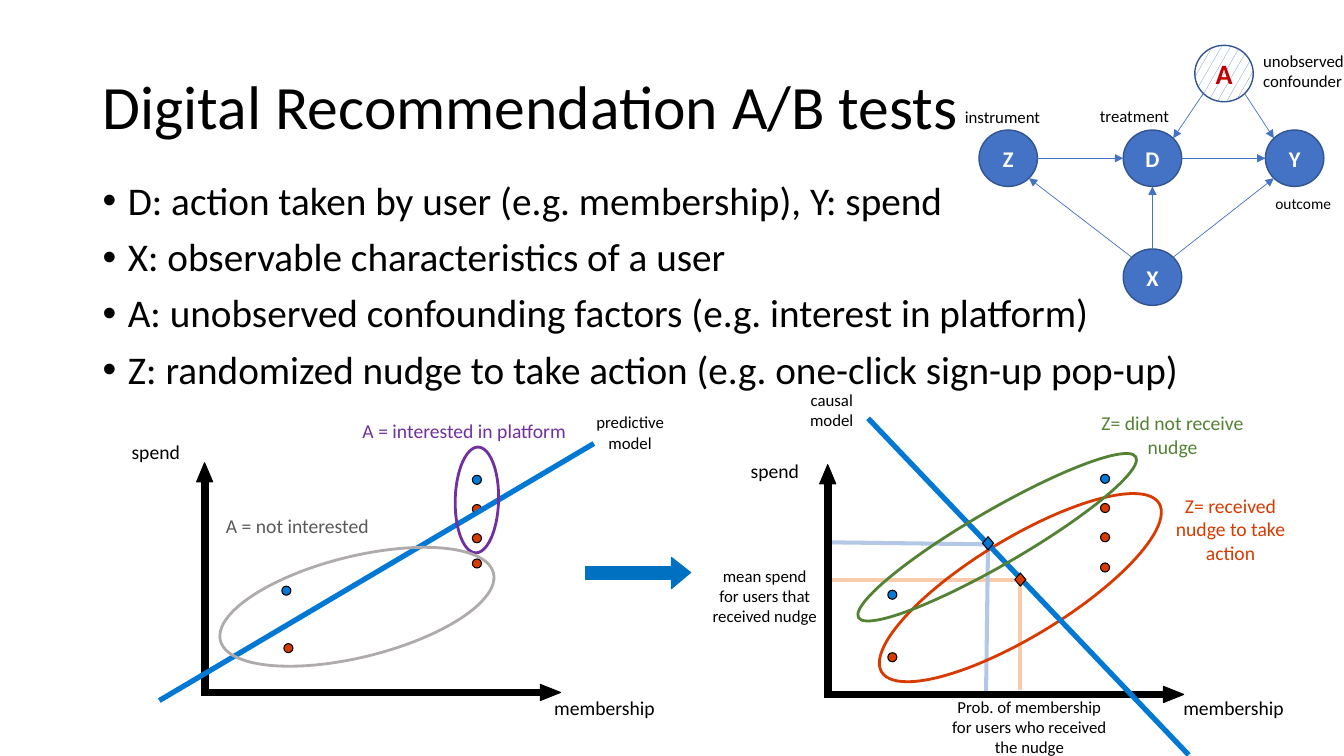
from math import cos, radians, sin

from lxml.etree import SubElement
from pptx import Presentation
from pptx.dml.color import RGBColor
from pptx.enum.dml import MSO_PATTERN
from pptx.enum.shapes import MSO_CONNECTOR, MSO_SHAPE
from pptx.enum.text import MSO_ANCHOR, MSO_AUTO_SIZE, PP_ALIGN
from pptx.oxml.ns import qn
from pptx.util import Inches, Pt

BLACK = RGBColor(0x00, 0x00, 0x00)
WHITE = RGBColor(0xFF, 0xFF, 0xFF)
NODE_BLUE = RGBColor(0x44, 0x72, 0xC4)
NODE_EDGE = RGBColor(0x32, 0x54, 0x91)
DARK_RED = RGBColor(0xC0, 0x00, 0x00)
ARROW_BLUE = RGBColor(0x00, 0x70, 0xC0)
BLUE = RGBColor(0x00, 0x78, 0xD4)
RED = RGBColor(0xD8, 0x3B, 0x01)
GREEN = RGBColor(0x54, 0x82, 0x35)
PURPLE = RGBColor(0x70, 0x30, 0xA0)
GREY = RGBColor(0xAF, 0xAB, 0xAB)
DARK_GREY = RGBColor(0x59, 0x59, 0x59)
PALE_BLUE = RGBColor(0xB4, 0xC7, 0xE7)
PALE_ORANGE = RGBColor(0xF8, 0xCB, 0xAD)

TITLE = "Digital Recommendation A/B tests"
BULLETS = [
    "D: action taken by user (e.g. membership), Y: spend",
    "X: observable characteristics of a user",
    "A: unobserved confounding factors (e.g. interest in platform)",
    "Z: randomized nudge to take action (e.g. one-click sign-up pop-up)",
]

NODE_W, NODE_H = 0.58, 0.56
NODES = {"D": (11.43, 1.57), "Y": (12.84, 1.57), "A": (12.14, 0.73),
         "Z": (10, 1.57), "X": (11.43, 2.75)}
TOP, TOP_LEFT, LEFT, BOTTOM_LEFT, BOTTOM, BOTTOM_RIGHT, RIGHT, TOP_RIGHT = range(8)
EFFECTS = [
    ("A", BOTTOM_LEFT, "D", TOP_RIGHT), ("A", BOTTOM_RIGHT, "Y", TOP_LEFT),
    ("D", RIGHT, "Y", LEFT), ("Z", RIGHT, "D", LEFT), ("X", TOP, "D", BOTTOM),
    ("X", TOP_RIGHT, "Y", BOTTOM_LEFT), ("X", TOP_LEFT, "Z", BOTTOM_RIGHT),
]

GUIDES = [
    ((10.12, 5.76), (10.12, 6.85), PALE_ORANGE), ((8.23, 5.75), (10.16, 5.75), PALE_ORANGE),
    ((9.79, 5.4), (8.21, 5.38), PALE_BLUE), ((9.8, 5.36), (9.78, 6.87), PALE_BLUE),
]
TRENDS = [((1.58, 6.95), (5.89, 4.4)), ((8.61, 4.15), (11.79, 7.49))]

ORIGINS = [(2, 6.9), (8.18, 6.92)]
AXIS_PARTS = [
    [(0, 0), (0, -0.06), (3.42, -0.06), (3.42, 0)],
    [(3.56, -0.03), (3.36, -0.11), (3.36, 0.05)],
    [(0, 0), (0, -2.18), (0.07, -2.18), (0.07, 0)],
    [(-0.05, -2.12), (0.11, -2.12), (0.03, -2.31)],
]
STEP_ARROW = [
    [(5.81, 5.62), (6.72, 5.62), (6.72, 5.75), (5.81, 5.75)],
    [(6.66, 5.53), (6.85, 5.68), (6.66, 5.84)],
]

RECEIVED_GROUP = (10.12, 5.83, 3.22, 0.97, -31.3, RED)
OTHER_GROUPS = [
    (9.89, 5.33, 3.18, 0.54, -30.1, GREEN),
    (4.73, 4.96, 0.43, 1.05, 1.4, PURPLE),
    (3.54, 6.02, 2.79, 1, -13.9, GREY),
]
DOT = 0.09
USERS = [
    (2.84, 5.86, BLUE), (4.73, 4.76, BLUE), (2.86, 6.43, RED),
    (4.73, 5.05, RED), (4.73, 5.34, RED), (4.73, 5.59, RED),
    (10.96, 4.75, BLUE), (10.96, 5.04, RED), (10.96, 5.33, RED),
    (10.96, 5.63, RED), (8.85, 5.9, BLUE), (8.85, 6.52, RED),
]
MEANS = [(9.8, 5.39, BLUE), (10.12, 5.75, RED)]

LABELS = [
    ("unobserved confounder", 12.43, 0.45, 1.04, 0.5, 12, BLACK, PP_ALIGN.LEFT, True),
    ("outcome", 12.55, 1.88, 0.88, 0.29, 11, BLACK, PP_ALIGN.LEFT, True),
    ("treatment", 10.81, 1, 0.9, 0.3, 12, BLACK, PP_ALIGN.LEFT, True),
    ("instrument", 9.47, 1.01, 1.09, 0.3, 12, BLACK, PP_ALIGN.LEFT, True),
    ("Z= received nudge to take action", 11.49, 4.85, 1.43, 0.81, 14, RED, PP_ALIGN.CENTER, True),
    ("predictive\nmodel", 5.8, 4.04, 0.9, 0.5, 12, BLACK, PP_ALIGN.CENTER, False),
    ("membership", 5.39, 6.86, 1.21, 0.34, 14, BLACK, PP_ALIGN.CENTER, False),
    ("spend", 1.2, 4.32, 0.69, 0.34, 14, BLACK, PP_ALIGN.CENTER, False),
    ("membership", 11.63, 6.86, 1.21, 0.34, 14, BLACK, PP_ALIGN.CENTER, False),
    ("spend", 7.34, 4.5, 0.69, 0.34, 14, BLACK, PP_ALIGN.CENTER, False),
    ("Prob. of membership\nfor users who received the nudge",
     9.28, 6.86, 1.86, 0.71, 12, BLACK, PP_ALIGN.CENTER, True),
    ("mean spend for users that received nudge",
     6.96, 5.56, 1.25, 0.71, 12, BLACK, PP_ALIGN.CENTER, True),
    ("Z= did not receive nudge", 10.61, 4.03, 2.04, 0.57, 14, GREEN, PP_ALIGN.CENTER, True),
    ("causal\nmodel", 7.92, 3.82, 0.66, 0.5, 12, BLACK, PP_ALIGN.CENTER, False),
    ("A = interested in platform", 3.49, 4.11, 2.23, 0.34, 14, PURPLE, PP_ALIGN.CENTER, True),
    ("A = not interested", 2.12, 5.05, 1.66, 0.34, 14, DARK_GREY, PP_ALIGN.CENTER, True),
]


def assign(target, values):
    for name, value in values.items():
        setattr(target, name, value)


def write(holder, text, size, color, align, bold=False, frame_format=None, spacing=None):
    frame = holder.text_frame
    frame.text = text
    assign(frame, {"word_wrap": True, "auto_size": MSO_AUTO_SIZE.NONE, **(frame_format or {})})
    for paragraph in frame.paragraphs:
        assign(paragraph, {"alignment": align, **(spacing or {})})
        assign(paragraph.font, {"name": "Calibri", "size": Pt(size), "bold": bold})
        paragraph.font.color.rgb = color
    return frame


def paint(shape, fill, edge, width):
    shape.shadow.inherit = False
    if fill is None:
        shape.fill.background()
    else:
        shape.fill.solid()
        shape.fill.fore_color.rgb = fill
    shape.line.color.rgb = edge
    shape.line.width = Pt(width)


def centred(kind, x, y, width, height, fill, edge, weight):
    shape = shapes.add_shape(kind, Inches(x - width / 2), Inches(y - height / 2),
                             Inches(width), Inches(height))
    paint(shape, fill, edge, weight)
    return shape


def polygon(points, color):
    corners = [(Inches(x), Inches(y)) for x, y in points]
    builder = shapes.build_freeform(*corners[0])
    builder.add_line_segments(corners[1:], close=True)
    paint(builder.convert_to_shape(), color, color, 0)


def line(start, end, color, width):
    connector = shapes.add_connector(MSO_CONNECTOR.STRAIGHT, *map(Inches, start + end))
    connector.line.color.rgb = color
    connector.line.width = Pt(width)
    SubElement(connector._element.spPr, qn("a:effectLst"))
    return connector


def site_point(node, site):
    x, y = NODES[node]
    angle = radians(90 + 45 * site)
    return x + NODE_W / 2 * cos(angle), y - NODE_H / 2 * sin(angle)


def group_outline(x, y, width, height, turn, color):
    centred(MSO_SHAPE.OVAL, x, y, width, height, None, color, 2).rotation = turn


prs = Presentation()
assign(prs, {"slide_width": Inches(13.33), "slide_height": Inches(7.5)})
slide = prs.slides.add_slide(prs.slide_layouts[5])
shapes = slide.shapes

title = shapes.title
assign(title, {"left": Inches(0.92), "top": Inches(0.36),
               "width": Inches(11.5), "height": Inches(1.45)})
write(title, TITLE, 44, BLACK, PP_ALIGN.LEFT,
      frame_format={"vertical_anchor": MSO_ANCHOR.MIDDLE}, spacing={"line_spacing": 0.9})

body = shapes.add_textbox(Inches(0.92), Inches(1.75), Inches(11.5), Inches(4.76))
bullets = write(body, "\n".join(BULLETS), 28, BLACK, PP_ALIGN.LEFT,
                spacing={"line_spacing": 0.9, "space_before": Pt(10)})
for bullet in bullets.paragraphs:
    props = bullet._p.get_or_add_pPr()
    props.set("marL", str(Inches(0.25)))
    props.set("indent", str(-Inches(0.25)))
    mark_font = SubElement(props, qn("a:buFont"), typeface="Arial")
    mark = SubElement(props, qn("a:buChar"), char="•")
    defaults = props.find(qn("a:defRPr"))
    if defaults is not None:
        mark.addnext(defaults)

circles = {}
for letter, (x, y) in NODES.items():
    circle = centred(MSO_SHAPE.OVAL, x, y, NODE_W, NODE_H, NODE_BLUE, NODE_EDGE, 1)
    hidden = letter == "A"
    if hidden:
        circle.fill.patterned()
        circle.fill.pattern = MSO_PATTERN.SMALL_CONFETTI
        circle.fill.fore_color.rgb = NODE_BLUE
        circle.fill.back_color.rgb = WHITE
    write(circle, letter, 20 if hidden else 16, DARK_RED if hidden else WHITE,
          PP_ALIGN.CENTER, True, {"vertical_anchor": MSO_ANCHOR.MIDDLE})
    circles[letter] = circle

for cause, out_site, target, in_site in EFFECTS:
    effect = line(site_point(cause, out_site), site_point(target, in_site), NODE_BLUE, 0.5)
    SubElement(effect.line._get_or_add_ln(), qn("a:tailEnd"), type="triangle")
    joints = effect._element.xpath(".//p:cNvCxnSpPr")[0]
    for tag, node, site in (("a:stCxn", cause, out_site), ("a:endCxn", target, in_site)):
        SubElement(joints, qn(tag), id=str(circles[node].shape_id), idx=str(site))

for start, end, color in GUIDES:
    line(start, end, color, 2.88)
for origin_x, origin_y in ORIGINS:
    for part in AXIS_PARTS:
        polygon([(origin_x + x, origin_y + y) for x, y in part], BLACK)
for part in STEP_ARROW:
    polygon(part, ARROW_BLUE)

group_outline(*RECEIVED_GROUP)
for x, y, color in USERS:
    centred(MSO_SHAPE.OVAL, x, y, DOT, DOT, color, BLACK, 0)
for start, end in TRENDS:
    line(start, end, BLUE, 3.75)
for group in OTHER_GROUPS:
    group_outline(*group)
for x, y, color in MEANS:
    centred(MSO_SHAPE.DIAMOND, x, y, 0.11, 0.13, color, BLACK, 0)

for text, x, y, width, height, size, color, align, wraps in LABELS:
    label = shapes.add_textbox(Inches(x), Inches(y), Inches(width), Inches(height))
    write(label, text, size, color, align, frame_format={"word_wrap": wraps})

prs.save("out.pptx")
